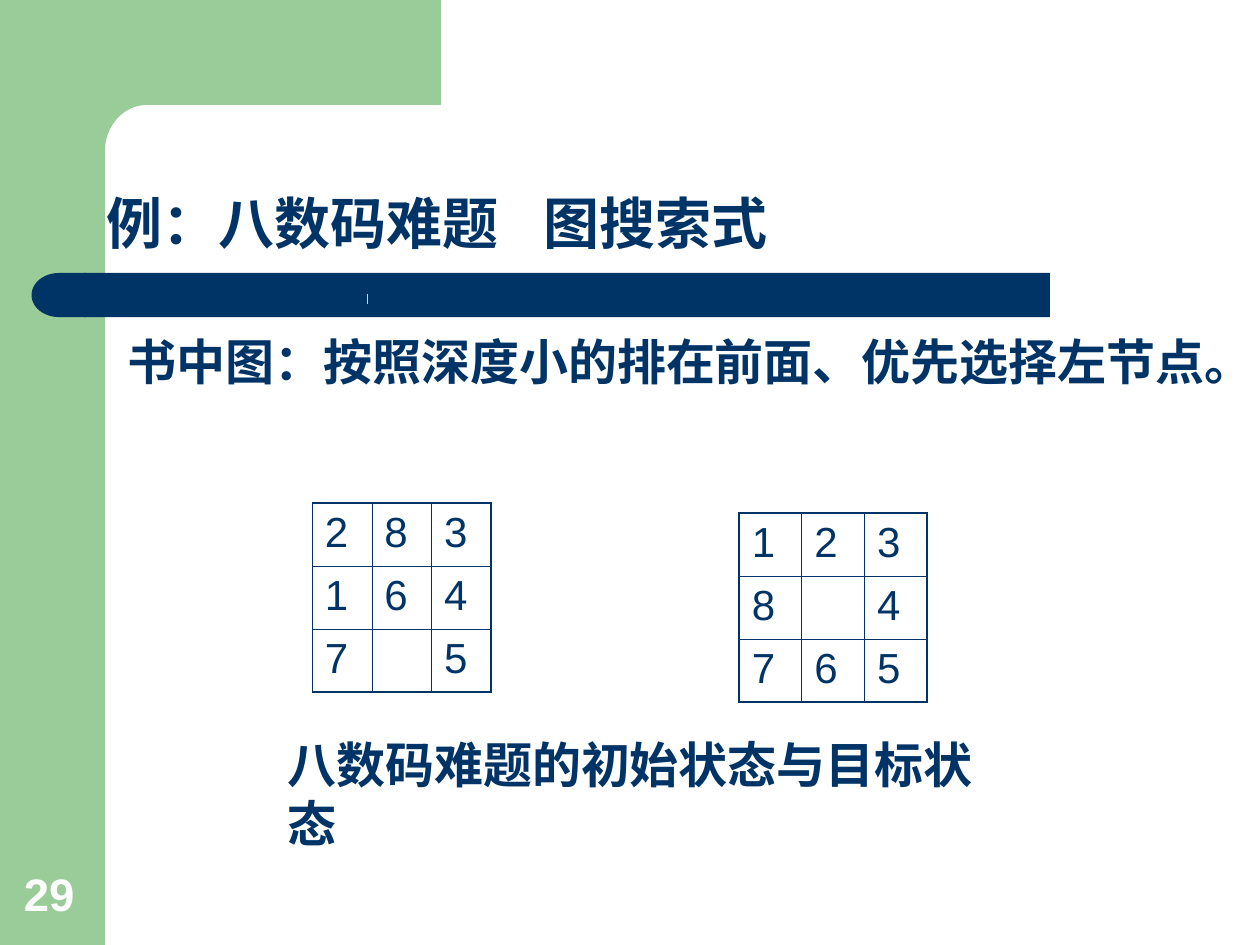
from math import cos, pi, sin

from lxml import etree
from pptx import Presentation
from pptx.dml.color import RGBColor
from pptx.enum.shapes import MSO_CONNECTOR, MSO_SHAPE
from pptx.enum.text import MSO_ANCHOR
from pptx.oxml.ns import qn
from pptx.util import Emu, Inches, Pt

RECT, DELAY = MSO_SHAPE.RECTANGLE, MSO_SHAPE.FLOWCHART_DELAY
STRAIGHT = MSO_CONNECTOR.STRAIGHT
TOP, BOTTOM = MSO_ANCHOR.TOP, MSO_ANCHOR.BOTTOM
COLS, ROWS = 120, 90
WIDTH, HEIGHT = Inches(10), Inches(7.5)
COLORS = {"green": "99CC99", "navy": "003366", "peach": "FFCC99", "white": "FFFFFF"}
FORMATS = {
    "title": {"size": Pt(32), "name": "Arial", "bold": True},
    "body": {"size": Pt(28), "name": "Arial", "bold": True},
    "caption": {"size": Pt(28), "name": "Times New Roman", "bold": True},
    "number": {"size": Pt(26), "name": "Arial", "bold": True},
    "tile": {"size": Pt(24), "name": "Arial", "bold": False},
}
START = ["283", "164", "7 5"]
GOAL = ["123", "8 4", "765"]


def rgb(key):
    """Return a named colour."""
    return RGBColor.from_string(COLORS[key])


def x(col):
    """Turn grid columns into a length."""
    return Emu(round(WIDTH * col / COLS))


def y(row):
    """Turn grid rows into a length."""
    return Emu(round(HEIGHT * row / ROWS))


def box(col, row, cols, rows):
    """Turn a grid area into left, top, width and height."""
    return x(col), y(row), x(cols), y(rows)


def paint(sp, color):
    """Give a shape a plain fill without line or shadow."""
    sp.shadow.inherit = False
    sp.fill.solid()
    sp.fill.fore_color.rgb = rgb(color)
    sp.line.fill.background()


def add_block(s, kind, area, color, rotation=0):
    """Add a filled preset shape."""
    sp = s.shapes.add_shape(kind, *box(*area))
    sp.rotation = rotation
    paint(sp, color)


def add_corner(s):
    """Add the top band with its rounded inner corner."""
    arc = [(14 - 4 * sin(a), 14.4 - 4.4 * cos(a))
           for a in (pi / 2 * i / 16 for i in range(17))]
    points = [(42, 0), (42, 10), *arc, (10, 15.4), (6, 15.4), (6, 0)]
    pts = [(x(col), y(row)) for col, row in points]
    fb = s.shapes.build_freeform(*pts[0])
    fb.add_line_segments(pts[1:], close=True)
    paint(fb.convert_to_shape(), "green")


def add_tick(s, col, row):
    """Add a short vertical line one row high."""
    ln = s.shapes.add_connector(STRAIGHT, x(col), y(row), x(col), y(row + 1))
    ln.line.color.rgb = rgb("peach")
    ln.line.width = Pt(0.75)
    etree.SubElement(ln._element.spPr, qn("a:effectLst"))


def add_run(p, text, style, color="navy"):
    """Add a run in a named format."""
    r = p.add_run()
    r.text = text
    for name, value in FORMATS[style].items():
        setattr(r.font, name, value)
    r.font.color.rgb = rgb(color)
    return r


def add_text(s, area, style, text="", color="navy", anchor=TOP, wrap=True):
    """Add a text box and return its paragraph."""
    tf = s.shapes.add_textbox(*box(*area)).text_frame
    tf.word_wrap = wrap
    tf.vertical_anchor = anchor
    p = tf.paragraphs[0]
    if text:
        add_run(p, text, style, color)
    return p


def add_title(s):
    """Add the title with a widened space between its two parts."""
    p = add_text(s, (9, 10, 102, 15), "title", anchor=BOTTOM)
    p.line_spacing = 0.9
    add_run(p, "例：八数码难题", "title")
    gap = add_run(p, " ", "title")
    gap.font._element.set("spc", "1780")
    add_run(p, "图搜索式", "title")


def add_body(s):
    """Add the body line with a hanging indent."""
    p = add_text(s, (11, 31, 109, 14.9), "body",
                 "书中图：按照深度小的排在前面、优先选择左节点。")
    p.space_before = Pt(7)
    p._p.get_or_add_pPr().set("marL", str(Inches(0.38)))
    p._p.get_or_add_pPr().set("indent", str(-Inches(0.38)))


def set_borders(cell, outer):
    """Draw the cell borders, heavier on the outer sides."""
    tc_pr = cell._tc.get_or_add_tcPr()
    for i, side in enumerate("LRTB"):
        width = Pt(1.08 if side in outer else 0.45)
        ln = etree.Element(qn(f"a:ln{side}"), w=str(width))
        fill = etree.SubElement(ln, qn("a:solidFill"))
        etree.SubElement(fill, qn("a:srgbClr"), val=COLORS["navy"])
        tc_pr.insert(i, ln)


def add_puzzle(s, col, row, tile_cols, tiles):
    """Add a puzzle board as a table, a space being the empty tile."""
    n = len(tiles)
    area = box(col, row, tile_cols * n, 6 * n)
    table = s.shapes.add_table(n, n, *area).table
    table.first_row = table.horz_banding = False
    for i, line in enumerate(tiles):
        for j, digit in enumerate(line):
            cell = table.cell(i, j)
            cell.fill.background()
            edges = {"L": j == 0, "R": j == n - 1, "T": i == 0, "B": i == n - 1}
            set_borders(cell, [side for side, outer in edges.items() if outer])
            if digit.strip():
                p = cell.text_frame.paragraphs[0]
                p.space_before = Pt(6)
                add_run(p, digit, "tile")


def main():
    """Build and save the slide."""
    prs = Presentation()
    prs.slide_width, prs.slide_height = WIDTH, HEIGHT
    s = prs.slides.add_slide(prs.slide_layouts[6])
    add_block(s, RECT, (0, 0, 10, 90), "green")
    add_corner(s)
    add_block(s, RECT, (8, 26, 92, 4.2), "navy")
    add_block(s, DELAY, (3, 26, 5.2, 4.2), "navy", rotation=180)
    add_text(s, (1.1, 82, 7.7, 6.3), "number", "29", "white", BOTTOM)
    for row in (33, 28):
        add_tick(s, 35, row)
    add_title(s)
    add_puzzle(s, 29.75, 47.9, 5.67, START)
    add_puzzle(s, 70.4, 48.85, 5.97, GOAL)
    add_text(s, (26.2, 69.4, 72.2, 6.8), "caption",
             "八数码难题的初始状态与目标状态", wrap=False)
    add_body(s)
    prs.save("out.pptx")


if __name__ == "__main__":
    main()
